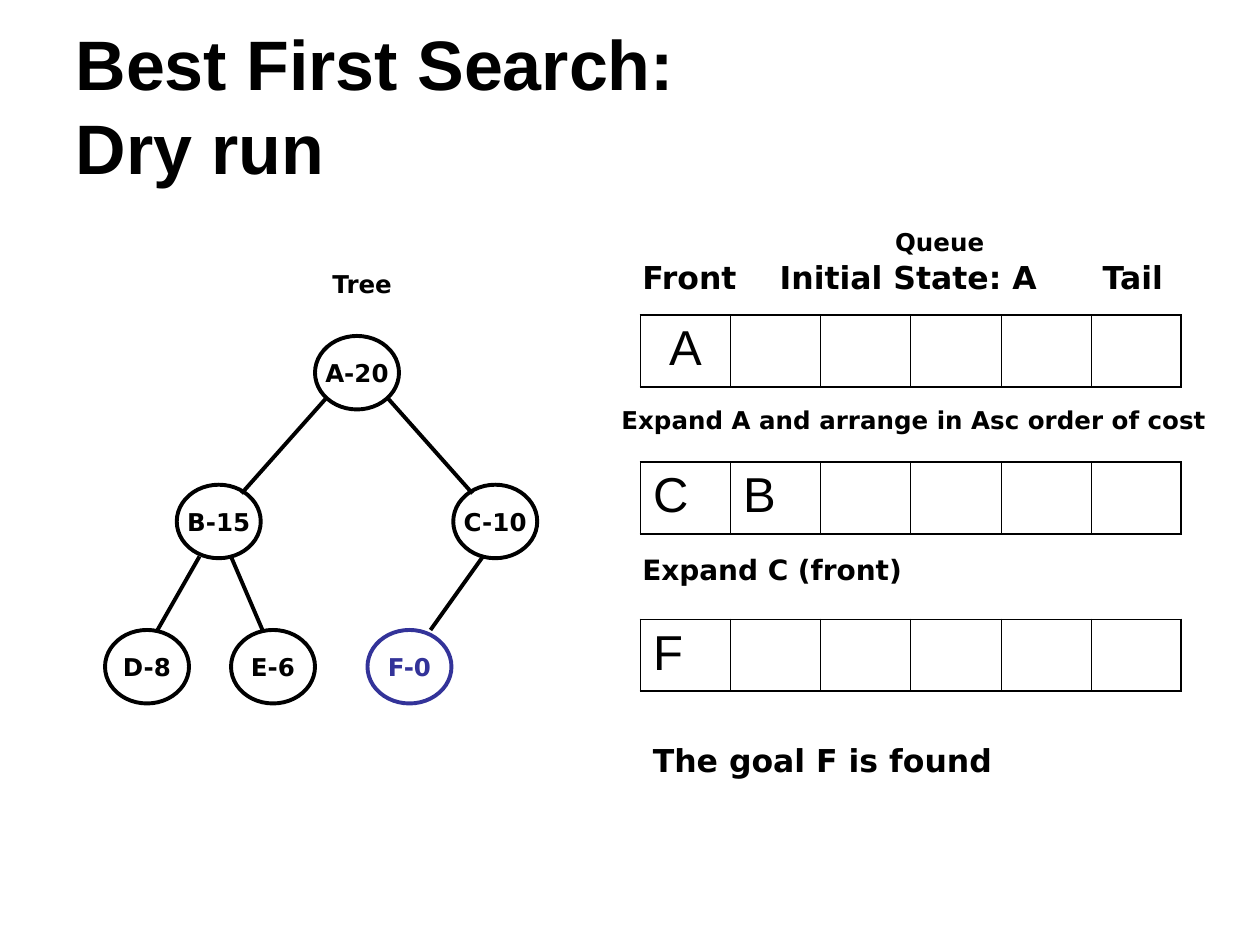
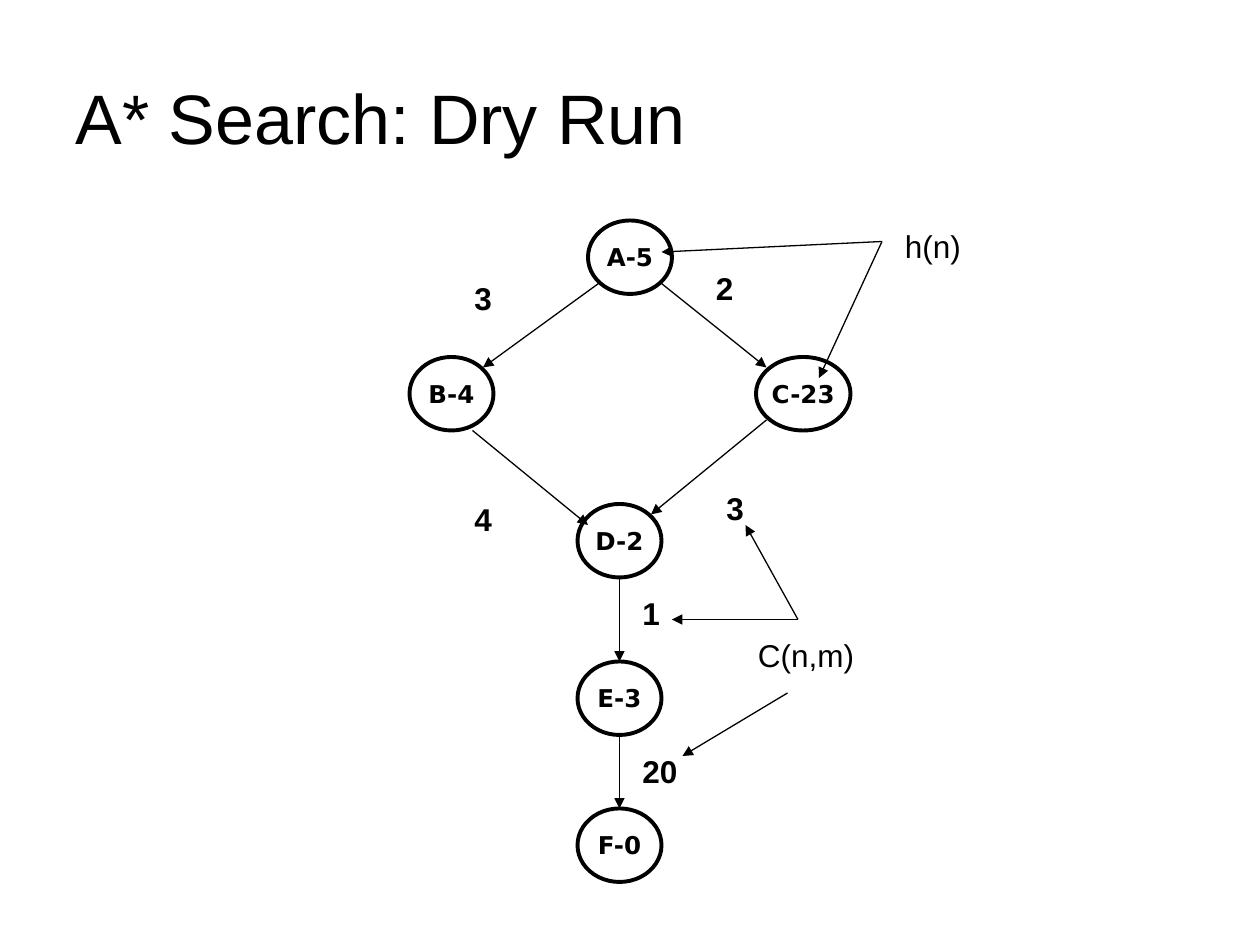
from pptx import Presentation
from pptx.dml.color import RGBColor
from pptx.enum import shapes, text
from pptx.oxml import parse_xml
from pptx.oxml import ns
from pptx.util import Pt

COLORS = {"ink": "000000", "goal": "333399"}
HEADING = {"name": "Arial", "size": Pt(40)}
NODE = {"name": "DejaVu Sans", "size": Pt(14), "bold": True}
CAPTION = {"name": "DejaVu Sans", "size": Pt(18), "bold": True}
COST = {"name": "Arial", "size": Pt(18), "bold": True}
NOTE = {"name": "Arial", "size": Pt(18), "bold": False}
CELL = {"name": "Arial", "size": Pt(28)}
LEFT, CENTER = text.PP_ALIGN.LEFT, text.PP_ALIGN.CENTER
NODE_W, NODE_H = 48, 42
QUEUE_X, QUEUE_CELLS, CELL_W, CELL_H = 366, 6, 51.5, 41
THICK, THIN, OUTER, INNER = 2.25, 0.75, 1.08, 0.45


def rgb(color):
    return RGBColor.from_string(COLORS[color])


class Deck:
    """Holds the presentation, the current slide and the container being drawn into."""

    def __init__(self):
        self.prs = Presentation()
        self.prs.slide_width, self.prs.slide_height = Pt(720), Pt(540)

    def slide(self, title, width, anchor, bold=False):
        self.s = self.prs.slides.add_slide(self.prs.slide_layouts[5])
        self.target = self.s.shapes
        sp = self.s.shapes.title
        sp.left, sp.top, sp.width, sp.height = Pt(36), Pt(21.6), Pt(width), Pt(90)
        tf = sp.text_frame
        tf.auto_size = text.MSO_AUTO_SIZE.NONE
        self.set_text(tf, title, HEADING | {"bold": bold}, anchor=anchor)

    def group(self):
        """Sends the nodes and edges that follow into a new group."""
        self.target = self.s.shapes.add_group_shape().shapes

    def set_text(self, tf, words, style, align=LEFT, color="ink", anchor=None, tabs=()):
        if anchor is not None:
            tf.vertical_anchor = anchor
        tf.text = words
        p = tf.paragraphs[0]
        p.alignment = align
        if tabs:
            stops = "".join(f'<a:tab pos="{Pt(x)}" algn="l"/>' for x in tabs)
            p._p.get_or_add_pPr().append(
                parse_xml(f'<a:tabLst {ns.nsdecls("a")}>{stops}</a:tabLst>'))
        for r in p.runs:
            for key, value in style.items():
                setattr(r.font, key, value)
            r.font.color.rgb = rgb(color)

    def label(self, words, x, y, w, style, h=28.8, **options):
        sp = self.s.shapes.add_textbox(Pt(x), Pt(y), Pt(w), Pt(h))
        sp.text_frame.word_wrap = True
        self.set_text(sp.text_frame, words, style, **options)

    def node(self, words, x, y, w=NODE_W, color="ink"):
        sp = self.target.add_shape(shapes.MSO_SHAPE.OVAL, Pt(x), Pt(y), Pt(w), Pt(NODE_H))
        sp.shadow.inherit = False
        sp.fill.background()
        sp.line.color.rgb = rgb(color)
        sp.line.width = Pt(THICK)
        sp.text_frame.word_wrap = False
        self.set_text(sp.text_frame, words, NODE, CENTER, color, text.MSO_ANCHOR.MIDDLE)

    def edge(self, x1, y1, x2, y2, width=THICK, arrow=False):
        c = self.target.add_connector(
            shapes.MSO_CONNECTOR.STRAIGHT, Pt(x1), Pt(y1), Pt(x2), Pt(y2))
        c.line.color.rgb = rgb("ink")
        c.line.width = Pt(width)
        if arrow:
            c.line._get_or_add_ln().append(
                parse_xml(f'<a:tailEnd {ns.nsdecls("a")} type="triangle"/>'))
        c._element.spPr.append(parse_xml(f'<a:effectLst {ns.nsdecls("a")}/>'))

    def queue(self, y, items, align=LEFT):
        table = self.s.shapes.add_table(
            1, QUEUE_CELLS, Pt(QUEUE_X), Pt(y), Pt(QUEUE_CELLS * CELL_W), Pt(CELL_H)).table
        table.first_row = table.horz_banding = False
        for i, cell in enumerate(table.rows[0].cells):
            cell.fill.background()
            sides = {"L": INNER if i else OUTER,
                     "R": INNER if i < QUEUE_CELLS - 1 else OUTER,
                     "T": OUTER, "B": OUTER}
            for n, (side, width) in enumerate(sides.items()):
                cell._tc.get_or_add_tcPr().insert(n, parse_xml(
                    f'<a:ln{side} {ns.nsdecls("a")} w="{Pt(width)}"><a:solidFill>'
                    f'<a:srgbClr val="{COLORS["ink"]}"/></a:solidFill></a:ln{side}>'))
            if i < len(items):
                self.set_text(cell.text_frame, items[i], CELL, align)


def best_first_slide(deck):
    deck.slide("Best First Search: \vDry run", 648, text.MSO_ANCHOR.BOTTOM, bold=True)
    deck.queue(180, "A", CENTER)
    deck.queue(264, "CB")
    deck.group()
    for name, x, y in [("A-20", 180, 192), ("C-10", 259, 277), ("B-15", 101, 277),
                       ("D-8", 60, 360), ("E-6", 132, 360)]:
        deck.node(name, x, y)
    deck.node("F-0", 210, 360, color="goal")
    for ends in [(186, 228, 138, 282), (222, 228, 270, 282), (114, 318, 90, 360),
                 (132, 318, 150, 360), (276, 318, 246, 360)]:
        deck.edge(*ends)
    deck.queue(354, "F")
    deck.label("Front\tInitial State: A\tTail", 360, 144, 324, CAPTION, tabs=(78.5, 263))
    deck.label("Expand A and arrange in Asc order of cost", 348, 228, 354, NODE, h=24.5)
    deck.label("Queue", 468, 126, 138, NODE, h=24.5, align=CENTER)
    deck.label("Tree", 132, 150, 150, NODE, h=24.5, align=CENTER)
    deck.label("The goal F is found", 366, 420, 216, CAPTION)
    deck.label("Expand C (front)", 360, 312, 342, CAPTION | {"size": Pt(16)}, h=26.6)


def a_star_slide(deck):
    deck.slide("A* Search: Dry Run", 654, text.MSO_ANCHOR.MIDDLE)
    for name, x, y in [("A-5", 336, 126), ("B-4", 234, 204), ("D-2", 330, 288),
                       ("E-3", 330, 378), ("F-0", 330, 462)]:
        deck.node(name, x, y)
    deck.node("C-23", 432, 204, w=54)
    steps = [(378, 162, 438, 210), (342, 162, 276, 210), (270, 246, 336, 300),
             (438, 240, 372, 294), (354, 330, 354, 378), (354, 420, 354, 462)]
    pointers = [(456, 354, 426, 300), (456, 354, 384, 354), (450, 396, 390, 432),
                (504, 138, 378, 144), (504, 138, 468, 216)]
    for ends in steps + pointers:
        deck.edge(*ends, width=THIN, arrow=True)
    for cost, x, y in [("2", 402, 150), ("3", 264, 156), ("4", 264, 282),
                       ("3", 408, 276), ("1", 360, 336), ("20", 360, 426)]:
        deck.label(cost, x, y, 36, COST)
    deck.label("C(n,m)", 426, 360, 102, NOTE)
    deck.label("h(n)", 510, 126, 108, NOTE)


def main():
    deck = Deck()
    best_first_slide(deck)
    a_star_slide(deck)
    deck.prs.save("out.pptx")


if __name__ == "__main__":
    main()
